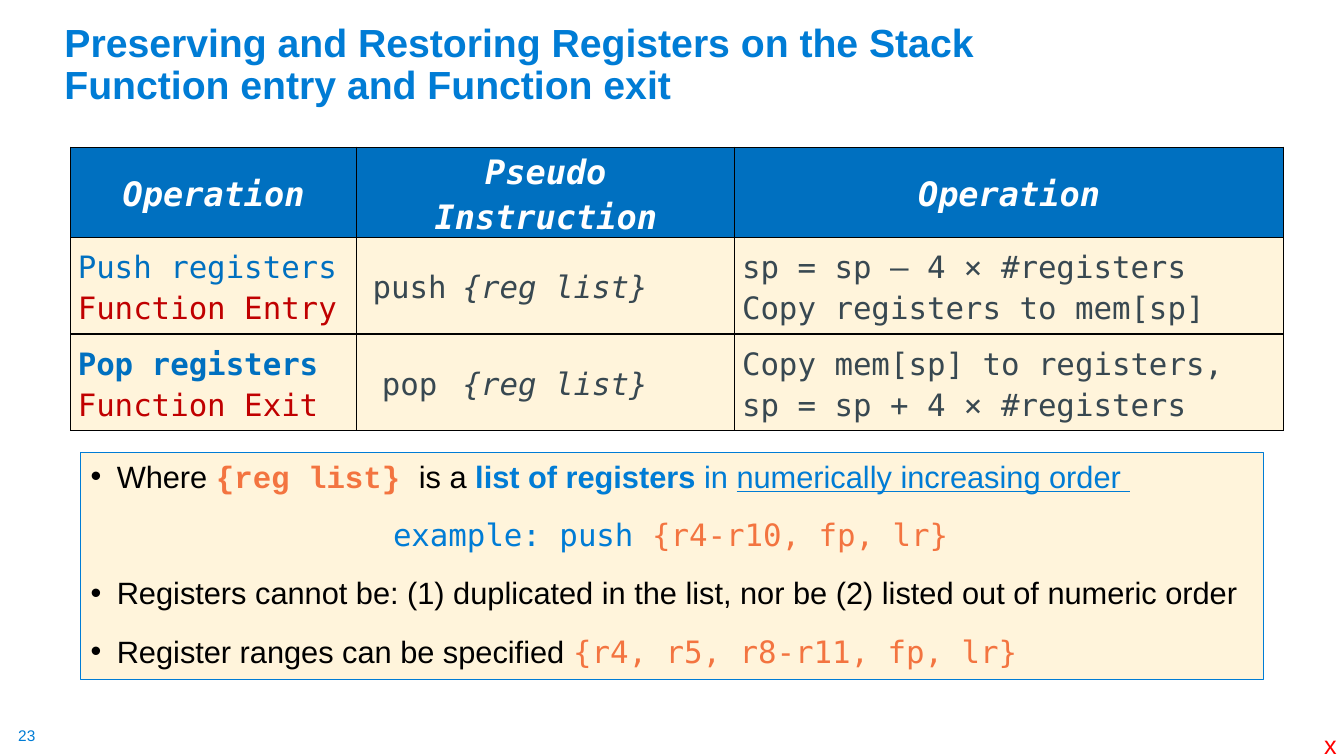
from lxml import etree
from pptx import Presentation
from pptx.dml.color import RGBColor
from pptx.enum.text import MSO_ANCHOR, MSO_AUTO_SIZE, PP_ALIGN
from pptx.oxml.ns import qn
from pptx.util import Cm, Pt

LEFT, MID = PP_ALIGN.LEFT, PP_ALIGN.CENTER
TOP, CENTRE, LOW = MSO_ANCHOR.TOP, MSO_ANCHOR.MIDDLE, MSO_ANCHOR.BOTTOM
FIXED, GROW = MSO_AUTO_SIZE.NONE, MSO_AUTO_SIZE.SHAPE_TO_FIT_TEXT

BLUE = RGBColor(0x00, 0x7C, 0xD5)
NAVY = RGBColor(0x00, 0x70, 0xC0)
RED = RGBColor(0xC0, 0x00, 0x00)
MARK = RGBColor(0xFF, 0x00, 0x00)
ORANGE = RGBColor(0xF3, 0x74, 0x40)
SLATE = RGBColor(0x38, 0x48, 0x51)
CREAM = RGBColor(0xFF, 0xF4, 0xDB)
BLACK = RGBColor(0, 0, 0)
WHITE = RGBColor(0xFF, 0xFF, 0xFF)

SANS, MONO, TYPE = "Arial", "DejaVu Sans Mono", "Courier New"


def style(name, size, ink, **more):
    return {"name": name, "size": Pt(size), "ink": ink,
            "bold": False, "italic": False, **more}


TITLE = style(SANS, 28, BLUE, bold=True)
HEAD = style(MONO, 24, WHITE, bold=True, italic=True)
CODE = style(MONO, 22, SLATE)
LIST = {**CODE, "italic": True}
PUSH = {**CODE, "ink": NAVY}
POP = {**PUSH, "bold": True}
CALL = {**CODE, "ink": RED}
PLAIN = style(SANS, 22, BLACK)
KEY = {**PLAIN, "ink": BLUE}
REGS = {**CODE, "ink": ORANGE}

# Boxes are left, top, width, height in centimetres
title_box = (1.37, 1.55, 31.78, 1.3)
body_box = (2.03, 11.4, 29.82, 5.72)
table_box = (1.78, 3.71, 30.56, 6.17)
cols = (7.21, 2.67, 6.86, 13.82)
rows = (1.3, 2.44, 2.44)

title = [("Preserving and Restoring Registers on the Stack\n"
          "Function entry and Function exit", TITLE)]

cells = [
    [[("Operation", HEAD)], [("Pseudo Instruction", HEAD)], [],
     [("Operation", HEAD)]],
    [[("Push registers ", PUSH), ("Function Entry", CALL)],
     [("push", CODE)], [("{reg list}", LIST)],
     [("sp = sp – 4 × #registers\nCopy registers to mem[sp]", CODE)]],
    [[("Pop registers ", POP), ("Function Exit", CALL)],
     [("pop", CODE)], [("{reg list}", LIST)],
     [("Copy mem[sp] to registers, \nsp = sp + 4 × #registers", CODE)]],
]

# Each paragraph: bulleted, line spacing, runs
body = [
    (True, 1.0, [("Where ", PLAIN),
                 ("{reg list} ", {**REGS, "name": TYPE, "bold": True}),
                 ("is a ", PLAIN),
                 ("list of registers ", {**KEY, "bold": True}),
                 ("in ", KEY),
                 ("numerically increasing order ",
                  {**KEY, "underline": True})]),
    (False, 1.2, [("example: push ", {**CODE, "ink": BLUE}),
                  ("{r4-r10, fp, lr}", REGS)]),
    (True, 1.2, [("Registers cannot be: (1) duplicated in the list, "
                  "nor be (2) listed out of numeric order", PLAIN)]),
    (True, 1.2, [("Register ranges can be specified ", PLAIN),
                 ("{r4, r5, r8-r11, fp, lr}", REGS)]),
]

# Text, style, box, margins left/right and top/bottom
notes = [
    ("23", style(SANS, 11, BLUE), (0.46, 18.31, 0.48, 0.48), 0, 0),
    ("x", style(SANS, 18, MARK), (33.12, 18.24, 0.84, 1.02), 0.25, 0.13),
]


def assign(thing, **values):
    for key, value in values.items():
        setattr(thing, key, value)


def place(shape, box):
    left, top, width, height = map(Cm, box)
    assign(shape, left=left, top=top, width=width, height=height)


def write(para, runs, **values):
    """Fill a paragraph with styled runs and set its format."""
    assign(para, **values)
    for text, form in runs:
        for i, part in enumerate(text.split("\n")):
            if i:
                para.add_line_break()
            run = para.add_run()
            run.text = part
            font = dict(form)
            run.font.color.rgb = font.pop("ink")
            assign(run.font, **font)


def indent(para, dot):
    """Give a paragraph a hanging bullet, or a deep indent without one."""
    props = para._p.get_or_add_pPr()
    props.set("marL", str(Cm(0.66 if dot else 7.62)))
    props.set("indent", str(-Cm(0.66) if dot else 0))
    if dot:
        etree.SubElement(props, qn("a:buFont")).set("typeface", SANS)
        etree.SubElement(props, qn("a:buChar")).set("char", "•")
    else:
        etree.SubElement(props, qn("a:buNone"))


def border(cell, sides):
    """Draw black lines on the given sides, in the order L R T B."""
    props = cell._tc.get_or_add_tcPr()
    for i, side in enumerate("LRTB"):
        line = etree.Element(qn("a:ln" + side), w=str(Pt(1)))
        if side in sides:
            fill = etree.SubElement(line, qn("a:solidFill"))
            etree.SubElement(fill, qn("a:srgbClr")).set("val", str(BLACK))
        else:
            etree.SubElement(line, qn("a:noFill"))
        props.insert(i, line)


def add_title(slide):
    head = slide.shapes.title
    place(head, title_box)
    assign(head.text_frame, vertical_anchor=LOW, auto_size=FIXED,
           word_wrap=True)
    write(head.text_frame.paragraphs[0], title, alignment=LEFT,
          line_spacing=0.9)


def add_body(slide):
    panel = slide.placeholders[1]
    place(panel, body_box)
    panel.fill.solid()
    panel.fill.fore_color.rgb = CREAM
    panel.line.color.rgb = BLUE
    panel.line.width = Pt(0.75)
    frame = panel.text_frame
    assign(frame, vertical_anchor=TOP, auto_size=FIXED, word_wrap=True)
    for i, (dot, space, runs) in enumerate(body):
        para = frame.add_paragraph() if i else frame.paragraphs[0]
        write(para, runs, alignment=LEFT, line_spacing=space,
              space_before=Pt(10))
        indent(para, dot)


def add_grid(slide):
    grid = slide.shapes.add_table(len(rows), len(cols),
                                  *map(Cm, table_box)).table
    grid.horz_banding = False
    for col, width in zip(grid.columns, cols):
        col.width = Cm(width)
    for row, height in zip(grid.rows, rows):
        row.height = Cm(height)
    grid.cell(0, 1).merge(grid.cell(0, 2))
    for r, line in enumerate(cells):
        for c, runs in enumerate(line):
            cell = grid.cell(r, c)
            pad = Cm(0 if r == 0 else 0.1)
            left = Cm(0 if r and c == 2 else 0.18)
            right = Cm(0 if r and c in (0, 2) else 0.18)
            assign(cell, vertical_anchor=CENTRE, margin_left=left,
                   margin_right=right, margin_top=pad, margin_bottom=pad)
            border(cell, {1: "LTB", 2: "RTB"}.get(c, "LRTB"))
            cell.fill.solid()
            cell.fill.fore_color.rgb = CREAM if r else NAVY
            if runs:
                write(cell.text_frame.paragraphs[0], runs, line_spacing=1.15,
                      alignment=MID if r == 0 or c == 1 else LEFT)


def add_notes(slide):
    for text, form, box, side, edge in notes:
        frame = slide.shapes.add_textbox(*map(Cm, box)).text_frame
        assign(frame, word_wrap=False, auto_size=GROW,
               margin_left=Cm(side), margin_right=Cm(side),
               margin_top=Cm(edge), margin_bottom=Cm(edge))
        write(frame.paragraphs[0], [(text, form)])


def main():
    deck = Presentation()
    assign(deck, slide_width=Cm(33.87), slide_height=Cm(19.05))
    slide = deck.slides.add_slide(deck.slide_layouts[1])
    for add in (add_title, add_body, add_grid, add_notes):
        add(slide)
    deck.save("out.pptx")


if __name__ == "__main__":
    main()
